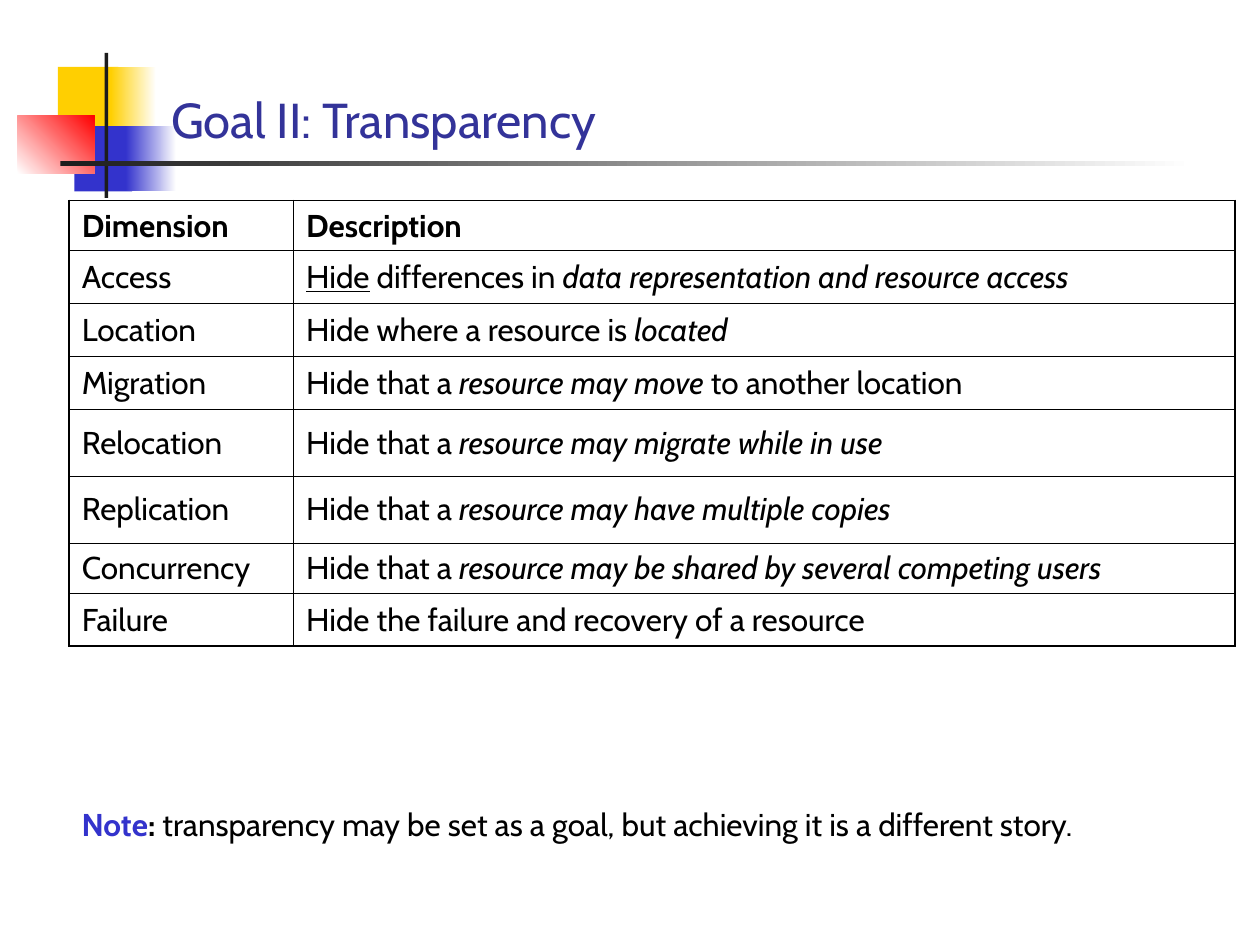
from pptx import Presentation
from pptx.dml.color import RGBColor
from pptx.enum.shapes import MSO_SHAPE
from pptx.enum.text import MSO_ANCHOR
from pptx.oxml import parse_xml
from pptx.oxml.ns import nsdecls
from pptx.util import Inches, Pt

FONT = "Cabin"
BLACK = RGBColor(0, 0, 0)
WHITE = RGBColor(255, 255, 255)
DARK = RGBColor(0x1C, 0x1C, 0x1C)
GOLD = RGBColor(0xFF, 0xCF, 0x01)
BLUE = RGBColor(0x33, 0x33, 0xCC)
NAVY = RGBColor(0x33, 0x33, 0x99)
RED = RGBColor(255, 0, 0)

# Left, top, width, height, colours (two make a gradient), angle
DECOR = [
    (0.46, 0.53, 0.48, 0.52, [GOLD], 0),
    (0.88, 0.53, 0.36, 0.52, [GOLD, WHITE], 0),
    (0.59, 1, 0.46, 0.52, [BLUE], 0),
    (1, 1, 0.4, 0.52, [BLUE, WHITE], 0),
    (0.14, 0.92, 0.61, 0.46, [WHITE, RED], 45),
    (0.83, 0.42, 0.03, 1.15, [DARK], 0),
    (0.48, 1.28, 9, 0.04, [DARK, WHITE], 0),
]

TITLE = "Goal II: Transparency"
HEAD = ("Dimension", "Description")
# Dimension, description as (text, style) runs, row height
ROWS = [
    ("Access", [("Hide", "u"), (" differences in ", ""),
                ("data representation and resource access", "i")], 0.42),
    ("Location", [("Hide where a resource is ", ""), ("located", "i")], 0.42),
    ("Migration", [("Hide that a ", ""), ("resource may move", "i"),
                   (" to another location", "")], 0.42),
    ("Relocation", [("Hide that a ", ""),
                    ("resource may migrate while in use", "i")], 0.53),
    ("Replication", [("Hide that a ", ""),
                     ("resource may have multiple copies", "i")], 0.53),
    ("Concurrency", [("Hide that a ", ""),
                     ("resource may be shared by several competing users", "i")], 0.4),
    ("Failure", [("Hide the failure and recovery of a resource", "")], 0.42),
]
NOTE = ("Note", ": ",
        "transparency may be set as a goal, but achieving it is a different story.")
HEAD_H = 0.4
COLS = (1.78, 7.47)
THIN, THICK = 0.45, 1.08


def write(frame, text, size=18, color=BLACK, style=""):
    """Add a run to the first paragraph; style holds any of b, i and u."""
    run = frame.paragraphs[0].add_run()
    run.text = text
    font = run.font
    font.name, font.size, font.color.rgb = FONT, Pt(size), color
    font.bold, font.italic, font.underline = (key in style for key in "biu")


def add_box(slide, left, top, width, height, anchor=MSO_ANCHOR.TOP):
    box = slide.shapes.add_textbox(*map(Inches, (left, top, width, height)))
    frame = box.text_frame
    frame.word_wrap = True
    frame.vertical_anchor = anchor
    return frame


def add_block(slide, left, top, width, height, colors, angle):
    block = slide.shapes.add_shape(
        MSO_SHAPE.RECTANGLE, *map(Inches, (left, top, width, height)))
    block.shadow.inherit = False
    block.line.fill.background()
    fill = block.fill
    if len(colors) == 1:
        fill.solid()
        fill.fore_color.rgb = colors[0]
        return
    fill.gradient()
    fill.gradient_angle = angle
    for stop, color in zip(fill.gradient_stops, colors):
        stop.color.rgb = color


def set_edges(cell, widths):
    """Draw the left, right, top and bottom borders, widths in points."""
    props = cell._tc.get_or_add_tcPr()
    for i, (side, width) in enumerate(zip("LRTB", widths)):
        props.insert(i, parse_xml(
            f'<a:ln{side} {nsdecls("a")} w="{Pt(width)}"><a:solidFill>'
            f'<a:srgbClr val="{BLACK}"/></a:solidFill></a:ln{side}>'))


def add_grid(slide):
    rows = [([(HEAD[0], "b")], [(HEAD[1], "b")], HEAD_H)]
    rows += [([(name, "")], runs, high) for name, runs, high in ROWS]
    total = sum(row[2] for row in rows)
    table = slide.shapes.add_table(
        len(rows), len(COLS), Inches(0.55), Inches(1.59),
        Inches(sum(COLS)), Inches(total)).table
    table.first_row = table.horz_banding = False
    for col, width in zip(table.columns, COLS):
        col.width = Inches(width)
    last_r, last_c = len(rows) - 1, len(COLS) - 1
    for r, (*cells, high) in enumerate(rows):
        table.rows[r].height = Inches(high)
        for c, runs in enumerate(cells):
            cell = table.cell(r, c)
            cell.fill.background()
            cell.vertical_anchor = MSO_ANCHOR.MIDDLE
            for text, style in runs:
                write(cell.text_frame, text, style=style)
            outer = (c == 0, c == last_c, r == 0, r == last_r)
            set_edges(cell, [THICK if edge else THIN for edge in outer])


def main():
    deck = Presentation()
    deck.slide_width, deck.slide_height = Inches(10), Inches(7.5)
    slide = deck.slides.add_slide(deck.slide_layouts[6])
    for block in DECOR:
        add_block(slide, *block)
    title = add_box(slide, 1.26, 0.23, 8.52, 1, MSO_ANCHOR.BOTTOM)
    write(title, TITLE, size=28, color=NAVY)
    add_grid(slide)
    note = add_box(slide, 0.55, 6.34, 9.14, 0.7)
    label, colon, text = NOTE
    write(note, label, color=BLUE, style="b")
    write(note, colon, style="b")
    write(note, text)
    deck.save("out.pptx")


if __name__ == "__main__":
    main()
